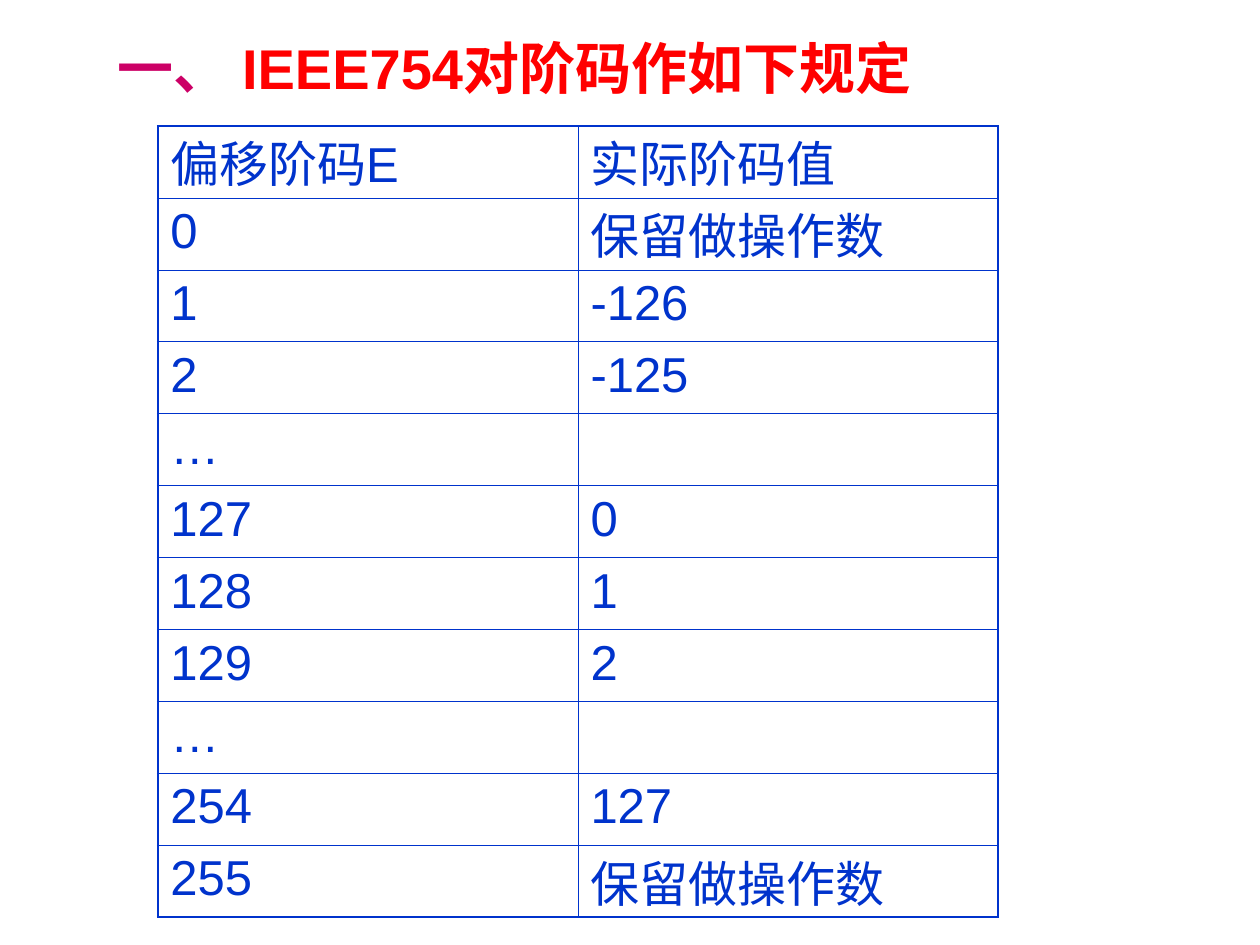
from dataclasses import dataclass

from lxml import etree
from pptx import Presentation
from pptx.dml.color import RGBColor
from pptx.enum import text
from pptx.oxml import ns
from pptx.util import Cm, Pt


@dataclass(frozen=True)
class Theme:
    font: str = "Arial"
    number: str = "CC0066"
    heading: str = "FF0000"
    body: str = "0033CC"
    heading_size: float = 32
    body_size: float = 28
    chinese_line: float = 37
    outer_line: float = 1.08
    inner_line: float = 0.45


THEME = Theme()
EXPONENTS = [
    ("偏移阶码E", "实际阶码值"),
    ("0", "保留做操作数"),
    ("1", "-126"),
    ("2", "-125"),
    ("…", ""),
    ("127", "0"),
    ("128", "1"),
    ("129", "2"),
    ("…", ""),
    ("254", "127"),
    ("255", "保留做操作数"),
]


def add_heading(slide, number, wording):
    heading = slide.shapes.title
    heading.left, heading.top = Cm(2.11), Cm(0.64)
    heading.width, heading.height = Cm(17.58), Cm(2.8)
    frame = heading.text_frame
    frame.word_wrap = True
    frame.auto_size = text.MSO_AUTO_SIZE.NONE
    frame.vertical_anchor = text.MSO_ANCHOR.TOP
    paragraph = frame.paragraphs[0]
    paragraph.alignment = text.PP_ALIGN.LEFT
    paragraph.line_spacing = Pt(36)
    paragraph.font.name = THEME.font
    paragraph.font.size = Pt(THEME.heading_size)
    paragraph.font.bold = True
    for part, color in ((number, THEME.number), (wording, THEME.heading)):
        run = paragraph.add_run()
        run.text = part
        run.font.color.rgb = RGBColor.from_string(color)


def set_border(cell, side, width):
    """Draw one side of a cell; call in the order L, R, T, B."""
    line = etree.SubElement(cell._tc.get_or_add_tcPr(), ns.qn(f"a:ln{side}"), w=str(Pt(width)))
    fill = etree.SubElement(line, ns.qn("a:solidFill"))
    etree.SubElement(fill, ns.qn("a:srgbClr"), val=THEME.body)


def write_cell(cell, wording):
    """Fill a cell; Chinese lines get a fixed height so that the row keeps its own."""
    cell.text = wording
    cell.margin_bottom = 0
    paragraph = cell.text_frame.paragraphs[0]
    if any(letter >= "一" for letter in wording):
        paragraph.line_spacing = Pt(THEME.chinese_line)
    paragraph.space_before = Pt(7)
    paragraph.font.name = THEME.font
    paragraph.font.size = Pt(THEME.body_size)
    paragraph.font.bold = False
    paragraph.font.color.rgb = RGBColor.from_string(THEME.body)


def add_exponent_table(slide, rows):
    row_count, column_count = len(rows), len(rows[0])
    column_width, row_height = Cm(8.47), Cm(1.45)
    table = slide.shapes.add_table(
        row_count, column_count, Cm(3.18), Cm(2.54),
        column_width * column_count, row_height * row_count).table
    table.first_row = table.horz_banding = False
    for row, entries in enumerate(rows):
        table.rows[row].height = row_height
        for column, wording in enumerate(entries):
            cell = table.cell(row, column)
            write_cell(cell, wording)
            on_edge = {"L": column == 0, "R": column == column_count - 1,
                       "T": row == 0, "B": row == row_count - 1}
            for side, outer in on_edge.items():
                set_border(cell, side, THEME.outer_line if outer else THEME.inner_line)
            cell.fill.background()


def main():
    presentation = Presentation()
    presentation.slide_width, presentation.slide_height = Cm(25.4), Cm(19.05)
    slide = presentation.slides.add_slide(presentation.slide_layouts[5])
    add_heading(slide, "一、 ", "IEEE754对阶码作如下规定")
    add_exponent_table(slide, EXPONENTS)
    presentation.save("out.pptx")


if __name__ == "__main__":
    main()
